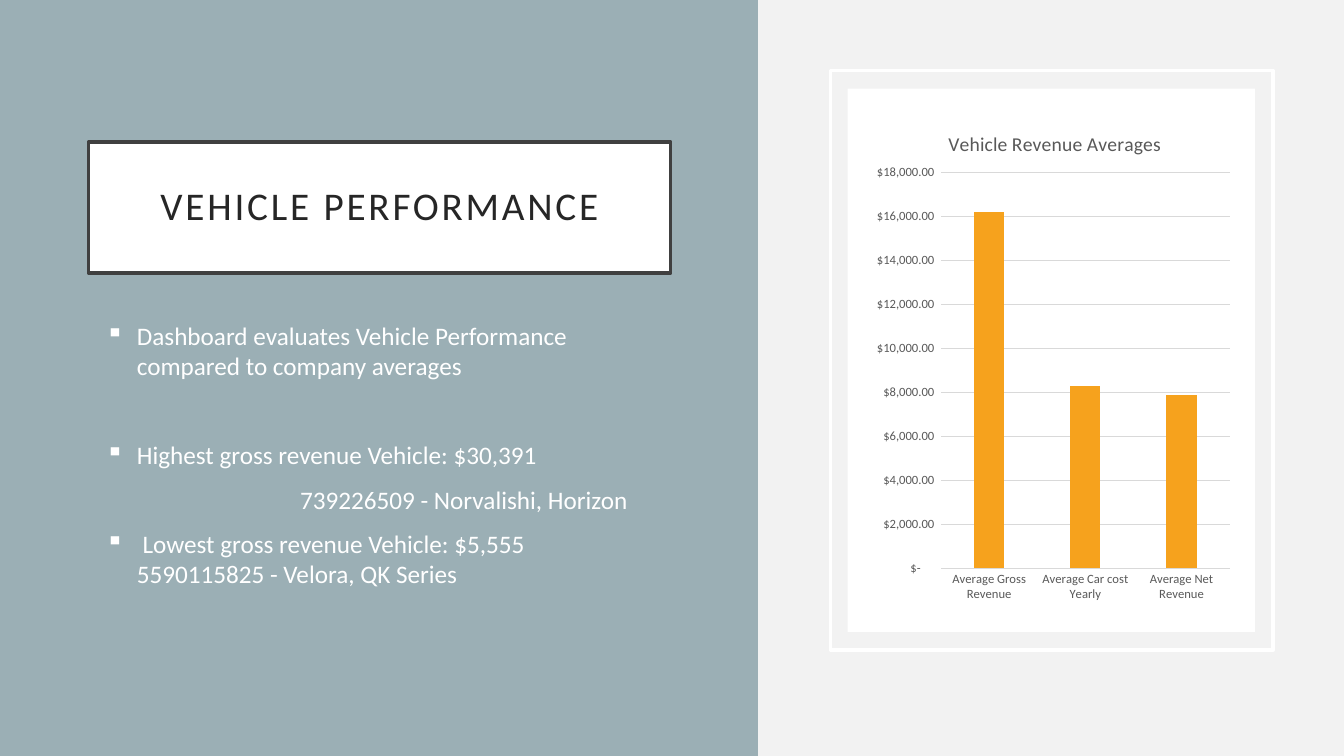
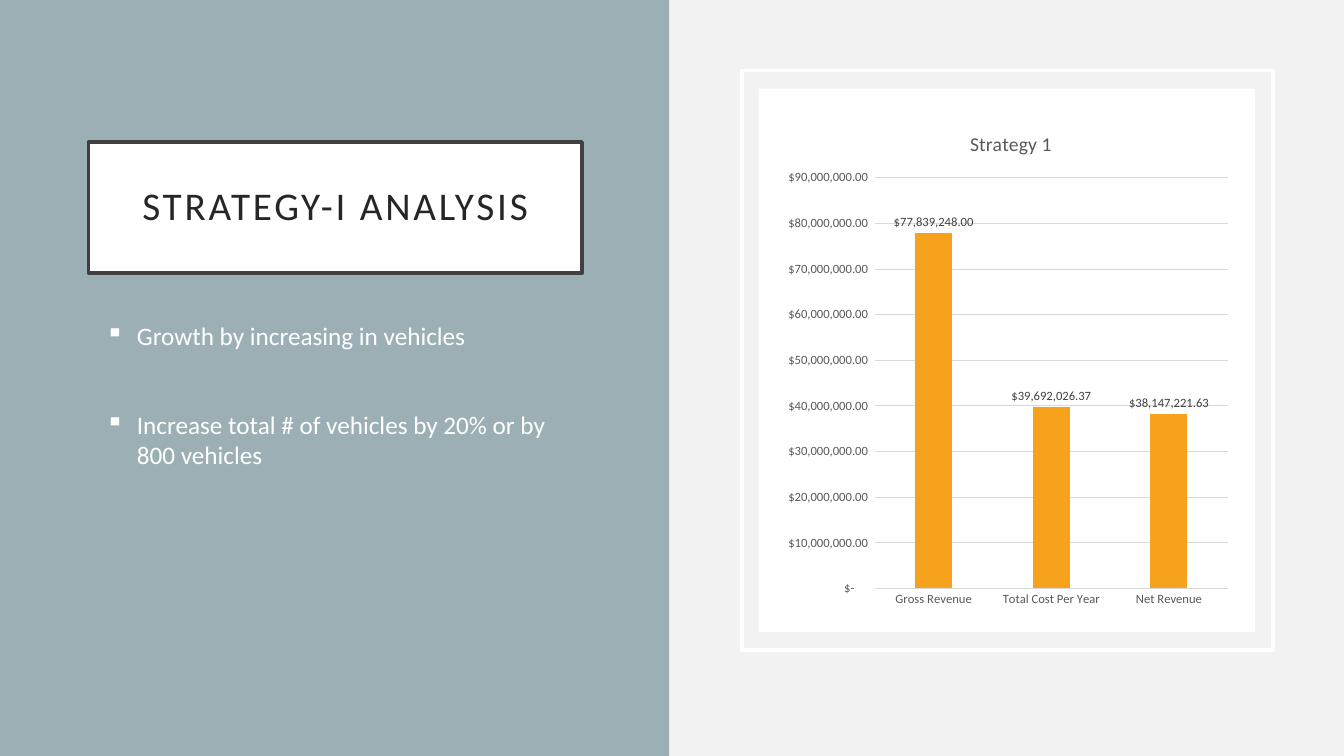
"""Builds two slides, each with a title and points on the left and a column chart on the right."""
import pptx
import pptx.chart.data
import pptx.dml.color
import pptx.enum.chart
import pptx.enum.shapes
import pptx.enum.text
import pptx.oxml
import pptx.util
from lxml import etree

Pt = pptx.util.Pt
FONT = "Calibri"
SLATE, PALE, WHITE, ORANGE = "9BAFB5", "F2F2F2", "FFFFFF", "F6A21D"
INK, BORDER, GREY, GRID = "262626", "404040", "595959", "D9D9D9"
MONEY = '_("$"* #,##0.00_);_("$"* \\(#,##0.00\\);_("$"* "-"??_);_(@_)'
WIDTH, HEIGHT = 960, 540
MARGIN = 63.3

SLIDES = [
    {
        "title": "VEHICLE PERFORMANCE",
        "panel": 541.4,
        "points": [
            {"text": "Dashboard evaluates Vehicle Performance compared to company averages"},
            {"text": "Highest gross revenue Vehicle: $30,391", "before": 42},
            {"text": "739226509 - Norvalishi, Horizon", "bullet": None, "left": 144, "indent": 0},
            {"text": " Lowest gross revenue Vehicle: $5,555\v5590115825 - Velora, QK Series"},
        ],
        "chart": {
            "title": "Vehicle Revenue Averages",
            "values": {
                "Average Gross Revenue": 16200,
                "Average Car cost Yearly": 8300,
                "Average Net Revenue": 7900,
            },
            "step": 2000, "top": 18000, "labels": False,
            "title_at": {"x": 0.21, "y": 0.04},
            "plot_at": {"x": 0.2, "y": 0.13, "w": 0.78, "h": 0.78},
        },
    },
    {
        "title": "STRATEGY-I ANALYSIS",
        "panel": 478.1,
        "points": [
            {"text": "Growth by increasing in vehicles"},
            {"text": "Increase total # of vehicles by 20% or by 800 vehicles", "before": 42},
        ],
        "chart": {
            "title": "Strategy 1",
            "values": {
                "Gross Revenue": 77839248,
                "Total Cost Per Year": 39692026.37,
                "Net Revenue": 38147221.63,
            },
            "step": 10000000, "top": 90000000, "labels": True,
            "title_at": {"x": 0.41, "y": 0.04},
            "plot_at": {"x": 0.21, "y": 0.14, "w": 0.77, "h": 0.81},
        },
    },
]


def color(code):
    return pptx.dml.color.RGBColor.from_string(code)


def style_font(font, size, code):
    font.name, font.size, font.bold = FONT, Pt(size), False
    font.color.rgb = color(code)


def write(para, text, size=18, code=WHITE, align="LEFT", before=10, lines=1.0,
          tracking=0, bullet="▪", left=27.4, indent=-22.4):
    para.text = text
    para.alignment = getattr(pptx.enum.text.PP_ALIGN, align)
    para.space_before, para.line_spacing = Pt(before), lines
    for span in para.runs:
        style_font(span.font, size, code)
        if tracking:
            span.font._element.set("spc", str(tracking * 100))
    settings = para._p.get_or_add_pPr()
    settings.set("marL", str(Pt(left)))
    settings.set("indent", str(Pt(indent)))
    mark = etree.SubElement(settings, pptx.oxml.ns.qn("a:buChar" if bullet else "a:buNone"))
    if bullet:
        mark.set("char", bullet)


def place(item, left, top, width, height):
    item.left, item.top, item.width, item.height = map(Pt, (left, top, width, height))


def style_box(box, fill=None, line=None):
    if fill:
        box.fill.solid()
        box.fill.fore_color.rgb = color(fill)
    else:
        box.fill.background()
    if line:
        box.line.color.rgb, box.line.width = color(line), Pt(2.5)
    else:
        box.line.fill.background()


def add_box(page, left, top, right, bottom, **style):
    box = page.shapes.add_shape(pptx.enum.shapes.MSO_SHAPE.RECTANGLE,
                                *map(Pt, (left, top, right - left, bottom - top)))
    box.shadow.inherit = False
    style_box(box, **style)
    return box


def set_layout(parent, after, position, inner=False):
    for old in parent.findall(pptx.oxml.ns.qn("c:layout")):
        parent.remove(old)
    layout = etree.Element(pptx.oxml.ns.qn("c:layout"))
    manual = etree.SubElement(layout, pptx.oxml.ns.qn("c:manualLayout"))
    values = {"layoutTarget": "inner"} if inner else {}
    values.update(xMode="edge", yMode="edge", **position)
    for name, value in values.items():
        etree.SubElement(manual, pptx.oxml.ns.qn("c:" + name)).set("val", str(value))
    if after is None:
        parent.insert(0, layout)
    else:
        after.addnext(layout)


def add_columns(page, content, left, top, right, bottom):
    data = pptx.chart.data.CategoryChartData(number_format=MONEY)
    data.categories = list(content["values"])
    data.add_series("Series 1", list(content["values"].values()))
    chart = page.shapes.add_chart(pptx.enum.chart.XL_CHART_TYPE.COLUMN_CLUSTERED,
                                  *map(Pt, (left, top, right - left, bottom - top)), data).chart
    chart.has_legend = False
    style_font(chart.font, 10, "000000")
    chart.has_title = True
    para = chart.chart_title.text_frame.paragraphs[0]
    para.text = content["title"]
    style_font(para.runs[0].font, 14, GREY)
    chart.chart_title.include_in_layout = False
    heading = chart.chart_title._element
    set_layout(heading, heading.find(pptx.oxml.ns.qn("c:tx")), content["title_at"])
    set_layout(chart._chartSpace.chart.plotArea, None, content["plot_at"], inner=True)

    for axis in (chart.category_axis, chart.value_axis):
        style_font(axis.tick_labels.font, 9, GREY)
        axis.major_tick_mark = axis.minor_tick_mark = pptx.enum.chart.XL_TICK_MARK.NONE
    chart.value_axis.format.line.fill.background()
    chart.value_axis.minimum_scale, chart.value_axis.maximum_scale = 0, content["top"]
    chart.value_axis.major_unit = content["step"]
    chart.value_axis.tick_labels.number_format = MONEY
    chart.value_axis.tick_labels.number_format_is_linked = False
    for line in (chart.category_axis.format.line, chart.value_axis.major_gridlines.format.line):
        line.color.rgb, line.width = color(GRID), Pt(0.75)

    plot = chart.plots[0]
    plot.gap_width, plot.overlap, plot.vary_by_categories = 219, -27, False
    series = plot.series[0]
    series.format.fill.solid()
    series.format.fill.fore_color.rgb = color(ORANGE)
    if content["labels"]:
        labels = series.data_labels
        labels.show_value = True
        labels.position = pptx.enum.chart.XL_LABEL_POSITION.OUTSIDE_END
        labels.number_format, labels.number_format_is_linked = MONEY, False
        style_font(labels.font, 9, BORDER)


def add_page(deck, content):
    page = deck.slides.add_slide(deck.slide_layouts[5])
    panel = content["panel"]
    column = panel - 2 * MARGIN + 1

    title = page.shapes.title
    place(title, MARGIN, 101.4, column, 93.6)
    style_box(title, fill=WHITE, line=BORDER)
    frame = title.text_frame
    frame.auto_size, frame.word_wrap = pptx.enum.text.MSO_AUTO_SIZE.NONE, True
    frame.vertical_anchor = pptx.enum.text.MSO_ANCHOR.MIDDLE
    frame.margin_left = frame.margin_right = frame.margin_top = frame.margin_bottom = Pt(14.4)
    write(frame.paragraphs[0], content["title"], size=28, code=INK, align="CENTER",
          before=0, lines=0.9, tracking=2, bullet=None, left=0, indent=0)
    title._element.addprevious(add_box(page, 0, 0, panel, HEIGHT, fill=SLATE)._element)

    body = page.shapes.add_textbox(*map(Pt, (MARGIN, 225.4, column, 239.8))).text_frame
    body.word_wrap = True
    for index, point in enumerate(content["points"]):
        para = body.add_paragraph() if index else body.paragraphs[0]
        write(para, **point)

    add_box(page, panel + 51.8, 50.4, 909.4, 464.4, line=WHITE)
    add_box(page, panel + 64, 63.4, 896.4, 451.4, fill=WHITE)
    add_columns(page, content["chart"], panel + 78, 76.3, 883.6, 438.5)


def main():
    deck = pptx.Presentation()
    deck.slide_width, deck.slide_height = Pt(WIDTH), Pt(HEIGHT)
    backdrop = deck.slide_master.background.fill
    backdrop.solid()
    backdrop.fore_color.rgb = color(PALE)
    for content in SLIDES:
        add_page(deck, content)
    deck.save("out.pptx")


if __name__ == "__main__":
    main()
